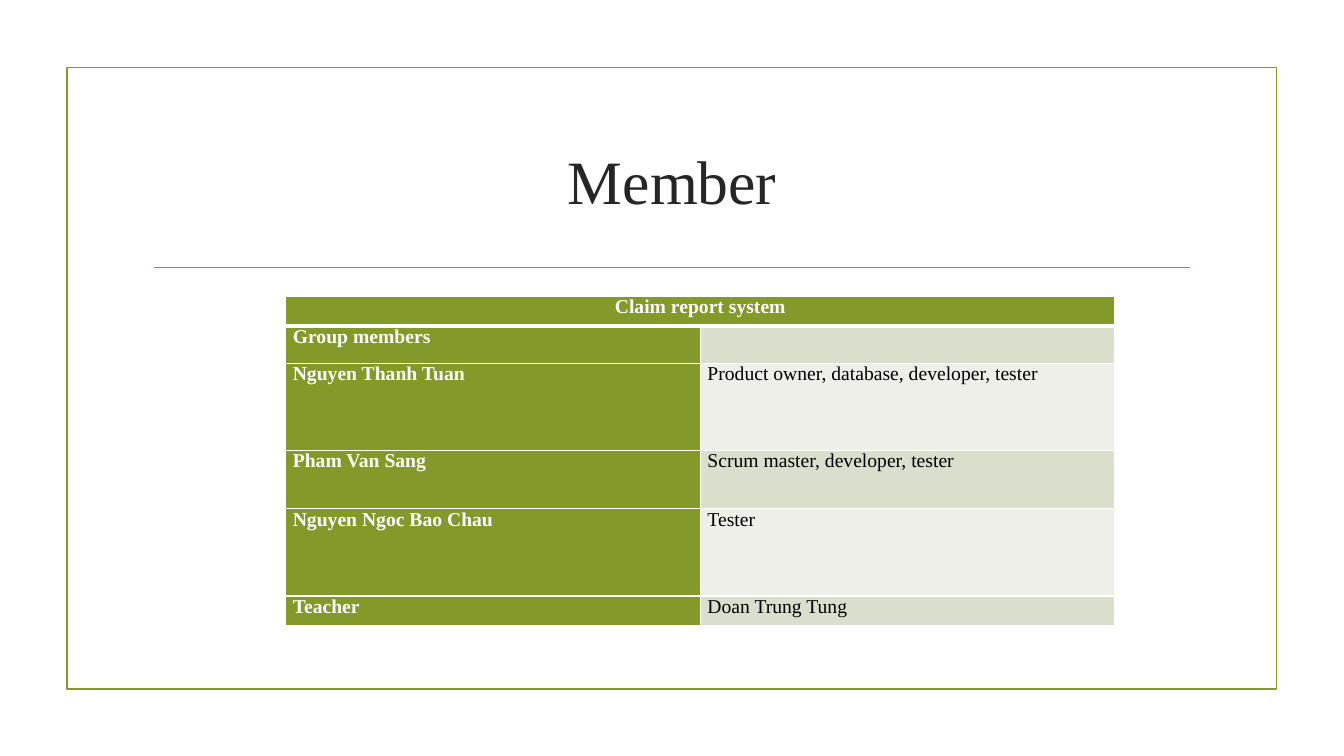
from lxml import etree
from pptx import Presentation
from pptx.dml.color import RGBColor
from pptx.enum import shapes, text
from pptx.oxml import ns
from pptx.util import Cm, Pt

GREEN, WHITE, BLACK = "83992A", "FFFFFF", "000000"
BANDS = ["EDEFE8", "D9DECD"]


def rgb(value):
    return RGBColor.from_string(value)


def add_border(cell, side, points):
    """Draw a white border on one side: L, R, T or B."""
    border = etree.SubElement(cell._tc.get_or_add_tcPr(), ns.qn(f"a:ln{side}"), w=str(Pt(points)))
    fill = etree.SubElement(border, ns.qn("a:solidFill"))
    etree.SubElement(fill, ns.qn("a:srgbClr"), val=WHITE)


prs = Presentation()
prs.slide_width, prs.slide_height = Cm(33.87), Cm(19.05)
slide = prs.slides.add_slide(prs.slide_layouts[5])

# Frame and rule
frame = slide.shapes.add_shape(
    shapes.MSO_SHAPE.RECTANGLE, Cm(1.69), Cm(1.7), Cm(30.48), Cm(15.67))
frame.shadow.inherit = False
frame.fill.background()
rule = slide.shapes.add_connector(
    shapes.MSO_CONNECTOR.STRAIGHT, Cm(3.89), Cm(6.74), Cm(30), Cm(6.74))
etree.SubElement(rule._element.spPr, ns.qn("a:effectLst"))
for outline in (frame.line, rule.line):
    outline.color.rgb = rgb(GREEN)
    outline.width = Pt(1.25)

# Title
title = slide.shapes.title
title_box = {"left": Cm(3.61), "top": Cm(2.72), "width": Cm(26.67), "height": Cm(3.63)}
for name, value in title_box.items():
    setattr(title, name, value)
title.text_frame.text = "Member"
title.text_frame.vertical_anchor = text.MSO_ANCHOR.MIDDLE
heading = title.text_frame.paragraphs[0]
heading.alignment = text.PP_ALIGN.CENTER
heading_font = heading.runs[0].font
for name, value in {"name": "Times New Roman", "size": Pt(44)}.items():
    setattr(heading_font, name, value)
heading_font.color.rgb = rgb("262626")

# Members and their roles: left text, right text, row height in cm
members = [
    ("Claim report system", "", 0.74),
    ("Group members", "", 0.94),
    ("Nguyen Thanh Tuan", "Product owner, database, developer, tester", 2.2),
    ("Pham Van Sang", "Scrum master, developer, tester", 1.47),
    ("Nguyen Ngoc Bao Chau", "Tester", 2.2),
    ("Teacher", "Doan Trung Tung", 0.74),
]
roster = slide.shapes.add_table(
    len(members), 2, Cm(7.2), Cm(7.47), Cm(20.9), Cm(8.29)).table
cell_margins = {"margin_left": Cm(0.18), "margin_right": Cm(0.18),
                "margin_top": 0, "margin_bottom": 0}

for row, (member, role, height) in enumerate(members):
    roster.rows[row].height = Cm(height)
    for column, words in enumerate((member, role)):
        cell = roster.cell(row, column)
        is_label = row == 0 or column == 0
        for name, value in cell_margins.items():
            setattr(cell, name, value)
        for side in "LRTB":
            under_header = (row, side) in ((0, "B"), (1, "T"))
            add_border(cell, side, 3 if under_header else 1)
        cell.fill.solid()
        cell.fill.fore_color.rgb = rgb(GREEN if is_label else BANDS[row % 2])
        if words:
            cell.text = words
            paragraph = cell.text_frame.paragraphs[0]
            paragraph.alignment = text.PP_ALIGN.JUSTIFY if row else text.PP_ALIGN.CENTER
            font = paragraph.runs[0].font
            for name, value in {"name": "Times New Roman", "size": Pt(14), "bold": is_label}.items():
                setattr(font, name, value)
            font.color.rgb = rgb(WHITE if is_label else BLACK)

roster.cell(0, 0).merge(roster.cell(0, 1))

prs.save("out.pptx")
